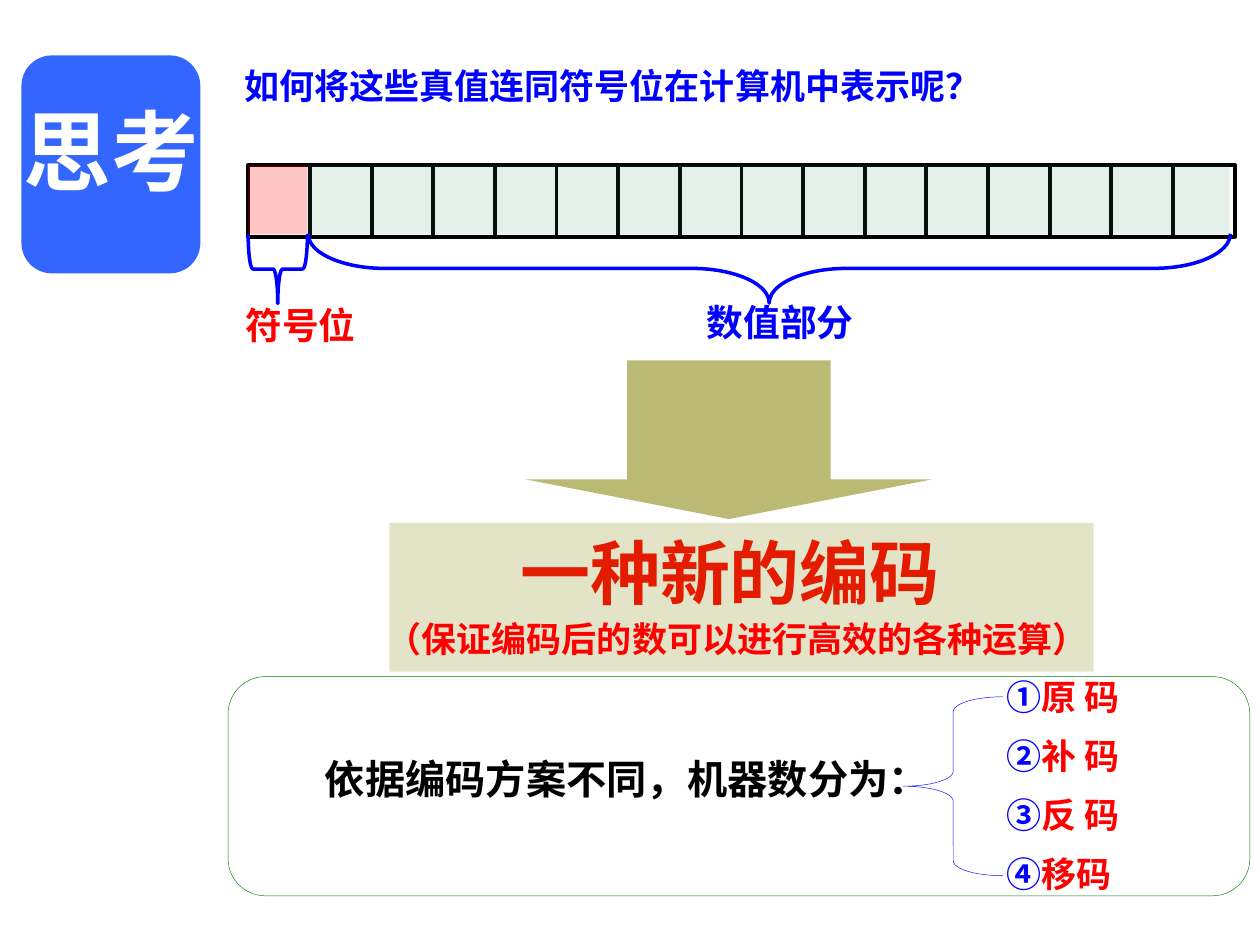
from lxml.etree import SubElement
from pptx import Presentation
from pptx.dml.color import RGBColor
from pptx.enum.shapes import MSO_SHAPE
from pptx.oxml.ns import qn
from pptx.util import Inches, Pt

BLUE = "0000FF"
RED = "FF0000"
BLACK = "000000"
WHITE = "FFFFFF"
GREEN = "008000"
OLIVE = "808000"


def color(value):
    return RGBColor.from_string(value)


class SlideBuilder:
    font_name = "Arial"

    def __init__(self, slide):
        self.slide = slide

    def shape(self, kind, left, top, width, height, fill=None, opacity=100,
              line=None, line_width=1, adjustments=(), rotation=0):
        shape = self.slide.shapes.add_shape(
            kind, Inches(left), Inches(top), Inches(width), Inches(height))
        shape.shadow.inherit = False
        shape.rotation = rotation
        for index, value in enumerate(adjustments):
            shape.adjustments[index] = value
        if fill:
            shape.fill.solid()
            shape.fill.fore_color.rgb = color(fill)
            if opacity < 100:
                fill_color = shape.fill._xPr.find(qn("a:solidFill"))[0]
                SubElement(fill_color, qn("a:alpha")).set("val", str(opacity * 1000))
        else:
            shape.fill.background()
        if line:
            shape.line.color.rgb = color(line)
            shape.line.width = Pt(line_width)
        else:
            shape.line.fill.background()
        return shape

    def brace(self, left, top, width, height, curve, line_width, rotation=0):
        return self.shape(MSO_SHAPE.LEFT_BRACE, left, top, width, height,
                          line=BLUE, line_width=line_width,
                          adjustments=(curve, 0.5), rotation=rotation)

    def text(self, left, top, width, height, size, *runs):
        box = self.slide.shapes.add_textbox(
            Inches(left), Inches(top), Inches(width), Inches(height))
        box.text_frame.word_wrap = False
        paragraph = box.text_frame.paragraphs[0]
        for content, run_color in runs:
            run = paragraph.add_run()
            run.text = content
            run.font.name = self.font_name
            run.font.size = Pt(size)
            run.font.bold = True
            run.font.color.rgb = color(run_color)
        return box


def main():
    presentation = Presentation()
    presentation.slide_width = Inches(10)
    presentation.slide_height = Inches(7.5)
    builder = SlideBuilder(presentation.slides.add_slide(presentation.slide_layouts[6]))

    builder.shape(MSO_SHAPE.ROUNDED_RECTANGLE, 0.17, 0.44, 1.42, 1.73,
                  fill="3366FF", adjustments=(0.17,))
    builder.text(0.09, 0.72, 1.79, 0.93, 50, ("思考", WHITE))
    builder.text(1.84, 0.46, 6.15, 0.43, 20,
                 ("如何将这些真值连同符号位在计算机中表示呢？", BLUE))

    bit_count = 16
    register_left, register_top, register_width = 1.97, 1.31, 7.83
    bit_width = register_width / bit_count
    for bit in range(bit_count):
        builder.shape(MSO_SHAPE.RECTANGLE, register_left + bit * bit_width,
                      register_top, bit_width, 0.57, line=BLACK, line_width=2.25)
    builder.shape(MSO_SHAPE.RECTANGLE, register_left, register_top, 0.47, 0.55,
                  fill=RED, opacity=23)
    builder.shape(MSO_SHAPE.RECTANGLE, 2.44, register_top, 7.32, 0.55,
                  fill="339966", opacity=13)

    builder.brace(5.83, -1.53, 0.55, 7.32, 1.11, 2, rotation=270)
    builder.text(5.51, 2.33, 1.37, 0.45, 21, ("数值部分", BLUE))
    builder.brace(1.93, 1.9, 0.55, 0.47, 0.08, 2, rotation=270)
    builder.text(1.85, 2.35, 1.16, 0.45, 21, ("符号位", RED))

    builder.shape(MSO_SHAPE.DOWN_ARROW, 4.17, 2.86, 3.23, 1.26,
                  fill=OLIVE, opacity=54, adjustments=(0.5, 0.25))
    builder.text(4.03, 4.15, 3.55, 0.77, 40, ("一种新的编码", RED))
    builder.shape(MSO_SHAPE.RECTANGLE, 3.09, 4.15, 5.59, 1.18, fill=OLIVE, opacity=22)
    builder.text(2.97, 4.85, 5.79, 0.43, 20,
                 ("（保证编码后的数可以进行高效的各种运算）", RED))

    builder.text(2.48, 5.94, 5.02, 0.48, 23, ("依据编码方案不同，机器数分为：", BLACK))
    codes = [("①", "原 码"), ("②", "补 码"), ("③", "反 码"), ("④", "移码")]
    for row, (number, name) in enumerate(codes):
        builder.text(7.89, 5.31 + row * 0.47, 1.12, 0.43, 20, (number, BLUE), (name, RED))
    builder.shape(MSO_SHAPE.ROUNDED_RECTANGLE, 1.81, 5.37, 8.11, 1.74,
                  line=GREEN, line_width=0.25, adjustments=(0.17,))
    builder.brace(7.17, 5.53, 0.79, 1.42, 0.15, 0.25)

    presentation.save("out.pptx")


if __name__ == "__main__":
    main()
